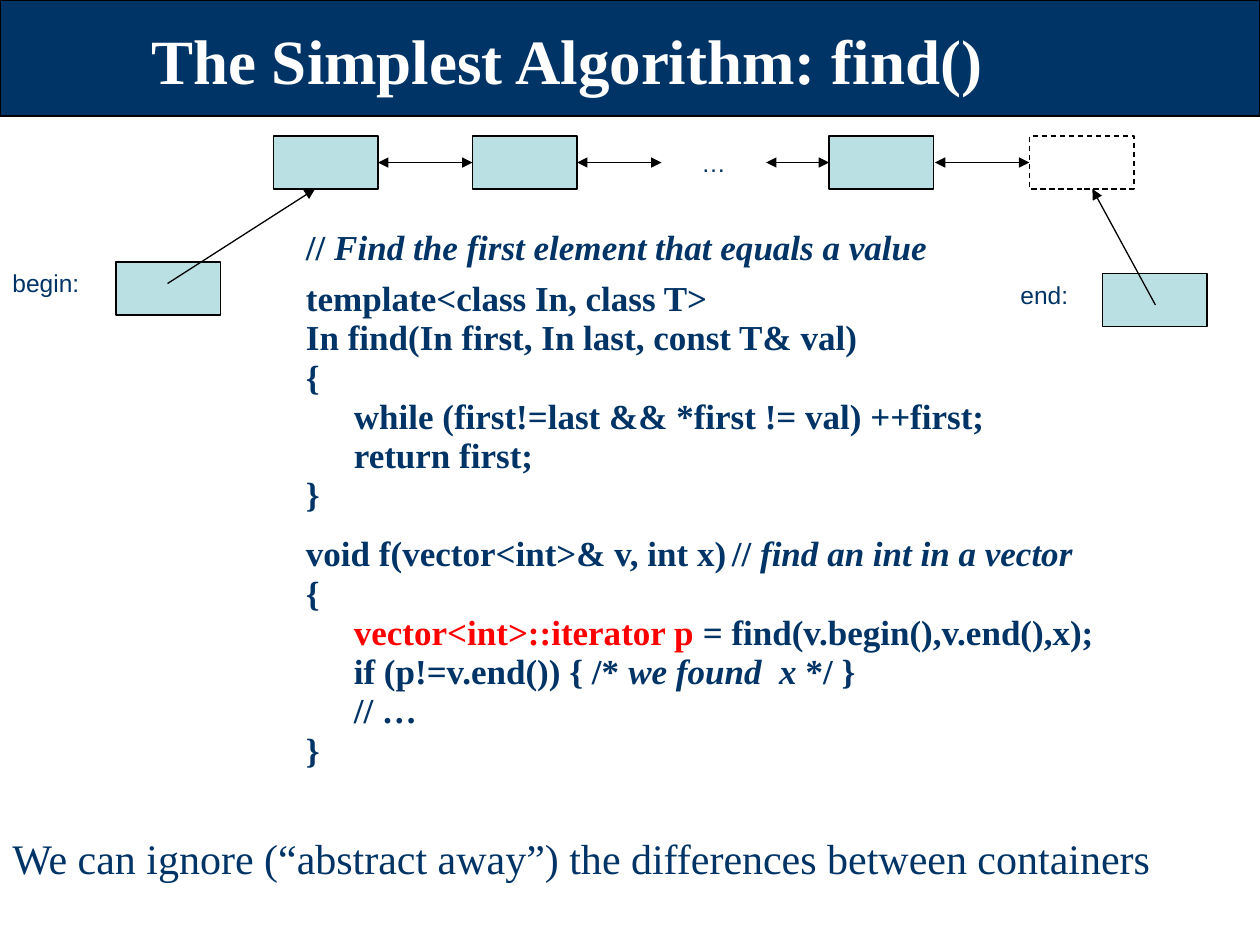
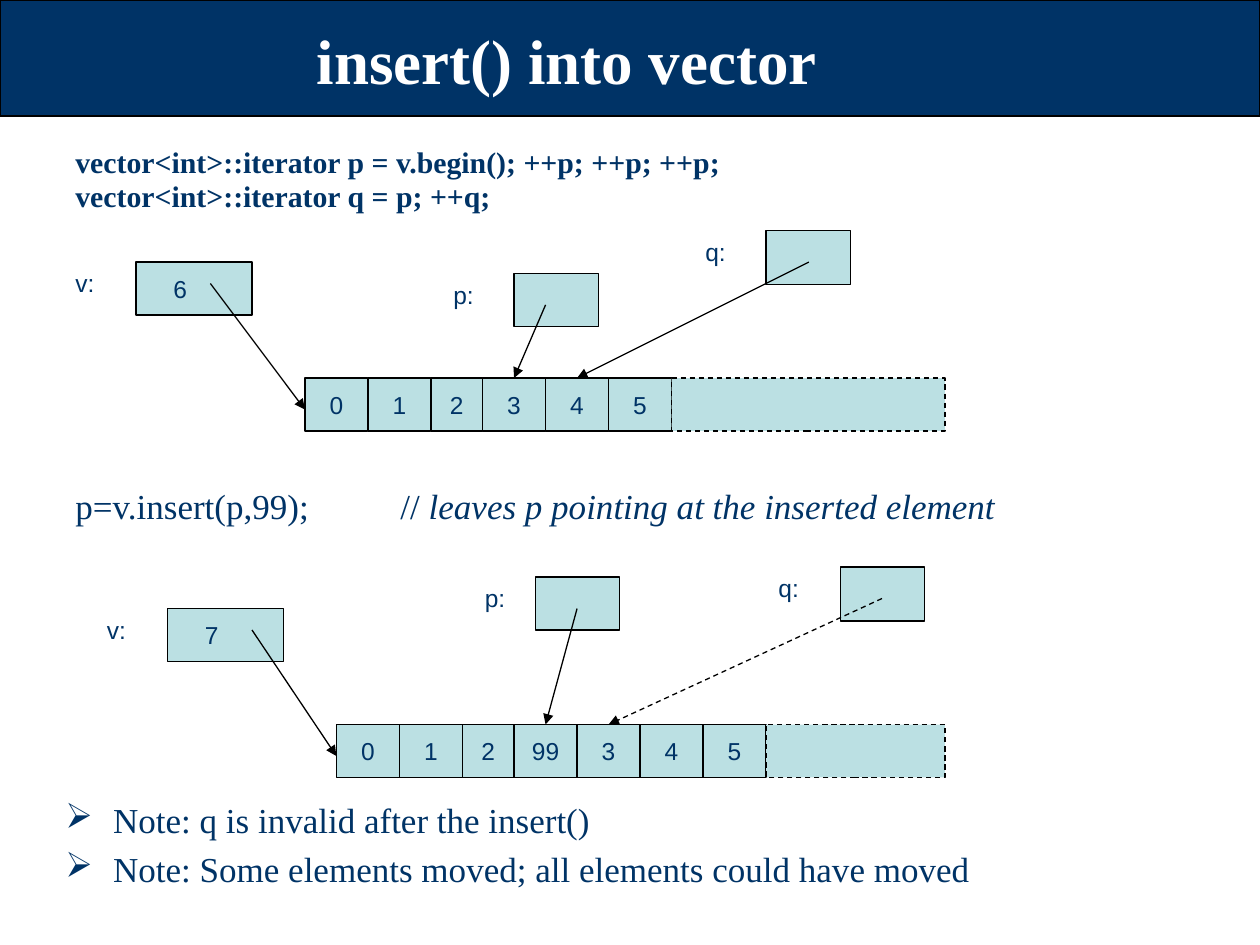
"""Build two slides on find() and on insert() into a vector."""
import pptx
import pptx.util
import pptx.dml.color
import pptx.enum.dml
import pptx.enum.shapes
import pptx.enum.text
import pptx.oxml
import pptx.oxml.ns

Inches, Pt = pptx.util.Inches, pptx.util.Pt
RGB = pptx.dml.color.RGBColor.from_string
CENTER = pptx.enum.text.PP_ALIGN.CENTER
MIDDLE = pptx.enum.text.MSO_ANCHOR.MIDDLE
DASH = pptx.enum.dml.MSO_LINE.DASH
qn, OxmlElement = pptx.oxml.ns.qn, pptx.oxml.xmlchemy.OxmlElement
SERIF, SANS = "Times New Roman", "Arial"

THEME = {
    "navy": "003366", "cell": "BBE0E3", "black": "000000", "white": "FFFFFF", "red": "FF0000",
    "title": ({"name": SERIF, "size": Pt(36), "bold": True}, {"alignment": CENTER}),
    "code": ({"name": SERIF, "size": Pt(20), "bold": True},
             {"line_spacing": 0.7, "space_before": Pt(5.6)}),
    "small code": ({"name": SERIF, "size": Pt(17), "bold": True},
                   {"line_spacing": 0.7, "space_before": Pt(5.2)}),
    "note": ({"name": SERIF, "size": Pt(20)}, {"line_spacing": 0.9, "space_before": Pt(6.2)}),
    "summary": ({"name": SERIF, "size": Pt(24)}, {}),
    "label": ({"name": SANS, "size": Pt(14)}, {}),
    "value": ({"name": SANS, "size": Pt(14)}, {"alignment": CENTER}),
}
INDENT = 0.38
ITALIC, RED = {"italic": True}, {"color": "red"}


def box(s, at, paras=(), style="value", fill=None, line=None, dash=False,
        color="navy", anchor=None, right=0.1):
    at = [Inches(v) for v in at]
    if fill or line:
        sp = s.shapes.add_shape(pptx.enum.shapes.MSO_SHAPE.RECTANGLE, *at)
        sp.shadow.inherit = False
        if fill:
            sp.fill.solid()
            sp.fill.fore_color.rgb = RGB(THEME[fill])
        else:
            sp.fill.background()
        sp.line.color.rgb = RGB(THEME[line])
        sp.line.width = Pt(0.75)
        if dash:
            sp.line.dash_style = DASH
        anchor = MIDDLE
    else:
        sp = s.shapes.add_textbox(*at)
    tf = sp.text_frame
    tf.word_wrap = True
    tf.margin_right = Inches(right)
    if anchor:
        tf.vertical_anchor = anchor
    font, layout = THEME[style]
    for i, (opts, *runs) in enumerate(paras):
        p = tf.paragraphs[0] if i == 0 else tf.add_paragraph()
        for key, value in layout.items():
            setattr(p, key, value)
        if "before" in opts:
            p.space_before = Pt(opts["before"])
        pPr = p._p.get_or_add_pPr()
        if "level" in opts:
            pPr.set("marL", str(Inches(INDENT * opts["level"])))
        if "bullet" in opts:
            pPr.set("indent", str(-Inches(INDENT)))
            clr = OxmlElement("a:buClr")
            rgb = OxmlElement("a:srgbClr")
            rgb.set("val", THEME["navy"])
            clr.append(rgb)
            char = OxmlElement("a:buChar")
            char.set("char", opts["bullet"])
            pPr.extend([clr, char])
        if "tab" in opts:
            tabs, tab = OxmlElement("a:tabLst"), OxmlElement("a:tab")
            tab.set("pos", str(Inches(opts["tab"])))
            tab.set("algn", "l")
            tabs.append(tab)
            pPr.append(tabs)
        for run in runs:
            text, extra = (run, {}) if isinstance(run, str) else run
            r = p.add_run()
            r.text = text
            fmt = {**font, **extra}
            r.font.color.rgb = RGB(THEME[fmt.pop("color", color)])
            for key, value in fmt.items():
                setattr(r.font, key, value)


def arrow(s, start, end, both=False, dash=False):
    c = s.shapes.add_connector(pptx.enum.shapes.MSO_CONNECTOR.STRAIGHT,
                               *[Inches(v) for v in (*start, *end)])
    c.line.color.rgb = RGB(THEME["black"])
    c.line.width = Pt(0.75)
    if dash:
        c.line.dash_style = DASH
    ln = c._element.spPr.find(qn("a:ln"))
    for tag in ["a:headEnd", "a:tailEnd"] if both else ["a:tailEnd"]:
        tip = OxmlElement(tag)
        tip.set("type", "triangle")
        ln.append(tip)
    c._element.spPr.append(OxmlElement("a:effectLst"))


prs = pptx.Presentation()
prs.slide_width, prs.slide_height = Inches(10), Inches(7.5)
slides = []
for title in ["The Simplest Algorithm: find()", "insert() into vector"]:
    s = prs.slides.add_slide(prs.slide_layouts[6])
    box(s, (0, 0, 10, 0.92), fill="navy", line="black")
    box(s, (0, 0, 9, 0.94), [({}, title)], "title", color="white", anchor=MIDDLE)
    slides.append(s)
find_slide, insert_slide = slides

s = find_slide
inner = {"level": 1}
box(s, (2.33, 1.83, 7.25, 4.67), [
    ({}, "// ", ("Find the first element that equals a value", ITALIC)),
    ({"before": 12.5}, "template<class In, class T>"),
    ({}, "In find(In first, In last, const T& val)"),
    ({}, "{"),
    (inner, "while (first!=last && *first != val) ++first;"),
    (inner, "return first;"),
    ({}, "}"),
    ({"before": 17, "tab": INDENT + 3}, "void f(vector<int>& v, int x)\t// ",
     ("find an int in a vector", ITALIC)),
    ({}, "{"),
    (inner, ("vector<int>::iterator p ", RED), "= find(v.begin(),v.end(),x);"),
    (inner, "if (p!=v.end()) { /* ", ("we found  x ", ITALIC), "*/ }"),
    (inner, "// …"),
    ({}, "}"),
], "code")

node_w, node_h, node_y = 0.83, 0.42, 1.08
for x in (2.17, 3.75, 6.58):
    box(s, (x, node_y, node_w, node_h), fill="cell", line="black")
box(s, (8.17, node_y, node_w, node_h), line="black", dash=True)
box(s, (5.25, node_y, node_w, node_h), [({}, "…")], line="white")
for left, right in [(3, 3.75), (4.58, 5.25), (6.08, 6.58), (7.42, 8.17)]:
    arrow(s, (left, 1.29), (right, 1.29), both=True)

for name, label_x, x, y, start, end in [
    ("begin:", 0, 0.92, 2.08, (1.33, 2.25), (2.5, 1.5)),
    ("end:", 8, 8.75, 2.17, (9.17, 2.42), (8.67, 1.5)),
]:
    box(s, (x, y, node_w, node_h), fill="cell", line="black")
    arrow(s, start, end)
    box(s, (label_x, y, 1.08, 0.34), [({}, name)], "label")
box(s, (0, 6.56, 10, 0.5),
    [({}, "We can ignore (“abstract away”) the differences between containers")], "summary")

s = insert_slide
box(s, (0.5, 1.17, 9, 0.58), [
    ({}, "vector<int>::iterator p = v.begin(); ++p; ++p; ++p;"),
    ({}, "vector<int>::iterator q = p; ++q;"),
], "small code")
box(s, (0.5, 3.83, 8.33, 0.58), [
    ({"tab": 2.58}, "p=v.insert(p,99);\t// ", ("leaves p pointing at the inserted element", ITALIC)),
], "note")

before = {
    "values": ["0", "1", "2", "3", "4", "5"], "v": (1.08, 2.08), "cells": (2.42, 3),
    "v arrow": ((1.67, 2.25), (2.42, 3.25)),
    "iterators": [("p:", 3.5, 4.08, 2.17, 0.42, (4.33, 2.42), (4.08, 3), False),
                  ("q:", 5.5, 6.08, 1.83, 0.43, (6.42, 2.08), (4.58, 3), False)],
}
after = {
    "values": ["0", "1", "2", "99", "3", "4", "5"], "v": (1.33, 4.83), "cells": (2.67, 5.75),
    "v arrow": ((2, 5), (2.67, 6)),
    "iterators": [("p:", 3.75, 4.25, 4.58, 0.42, (4.58, 4.83), (4.33, 5.75), False),
                  ("q:", 6.08, 6.67, 4.5, 0.43, (7, 4.75), (4.83, 5.75), True)],
}
for state in (before, after):
    vx, vy = state["v"]
    box(s, (vx - 0.58, vy, 0.58, 0.34), [({}, "v:")], "label")
    box(s, (vx, vy, 0.92, 0.42), [({}, str(len(state["values"])))],
        fill="cell", line="black", right=0.32)
    x, y = state["cells"]
    for value in state["values"]:
        w = 0.41 if value == "2" else 0.5
        box(s, (x, y, w, 0.42), [({}, value)], fill="cell", line="black")
        x += w
    box(s, (x, y, 7.5 - x, 0.42), fill="cell", line="black", dash=True)
    arrow(s, *state["v arrow"])
    for name, label_x, x, y, h, start, end, invalid in state["iterators"]:
        box(s, (x, y, 0.67, h), fill="cell", line="black")
        box(s, (label_x, y, 0.5, 0.34), [({}, name)], "label")
        arrow(s, start, end, dash=invalid)

bullet = {"level": 1, "bullet": "➢"}
box(s, (0.42, 6.33, 8.83, 1), [
    (bullet, "Note: q is invalid after the insert()"),
    (bullet, "Note: Some elements moved; all elements could have moved"),
], "note")

prs.save("out.pptx")
